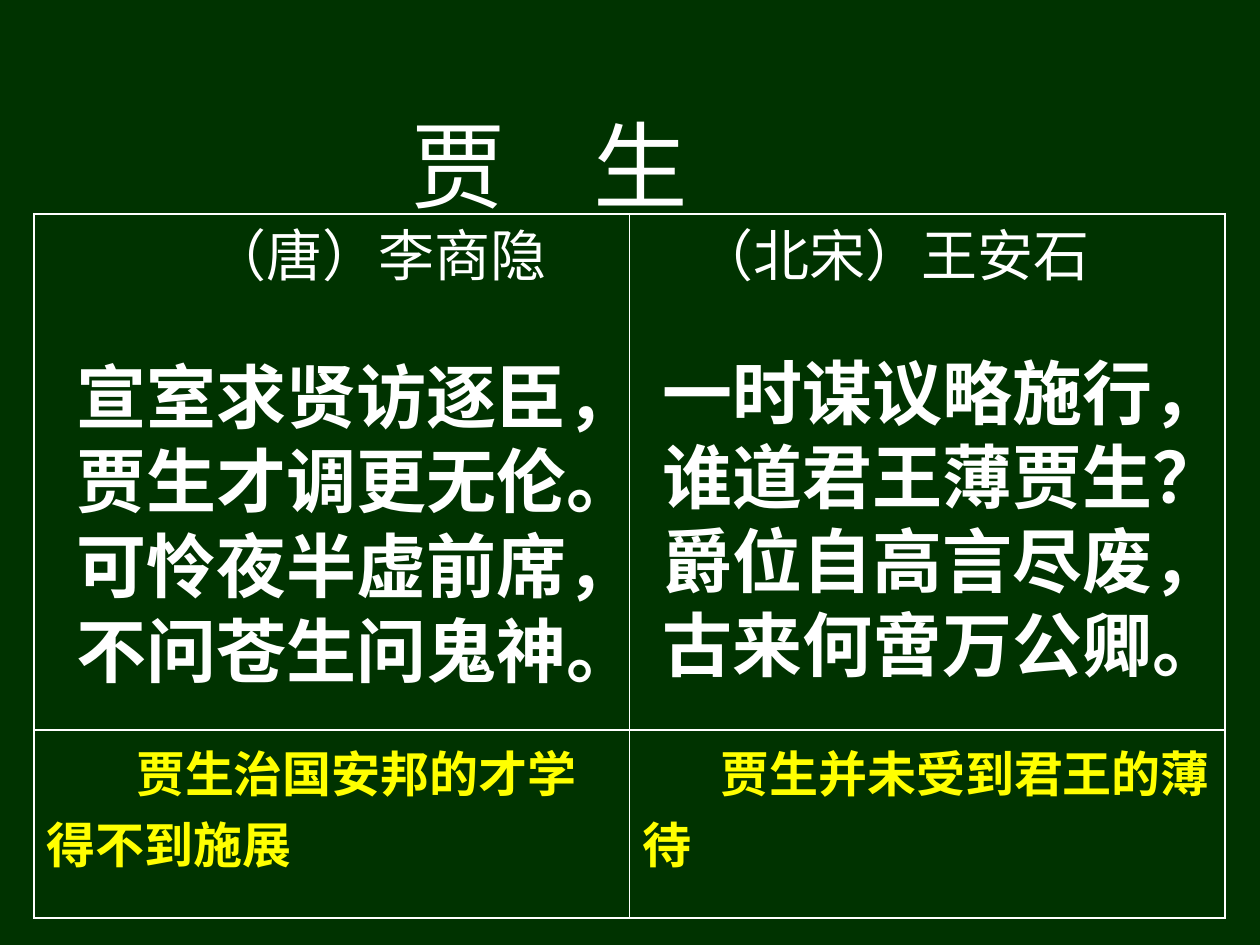
from lxml import etree
from pptx import Presentation
from pptx.dml.color import RGBColor
from pptx.enum import text
from pptx.oxml import ns
from pptx.util import Cm, Pt

WHITE, YELLOW, GREEN = "FFFFFF", "FFFF00", "003300"

HEADING = [
    ("\t贾\t生", 54, (5.94, 9.6)),
    ("\t（唐）李商隐\t（北宋）王安石", 32, (1.88, 11.7)),
]
TANG_POEM = ["宣室求贤访逐臣，", "贾生才调更无伦。", "可怜夜半虚前席，", "不问苍生问鬼神。"]
SONG_POEM = ["一时谋议略施行，", "谁道君王薄贾生？", "爵位自高言尽废，", "古来何啻万公卿。"]
VIEWS = [("贾生治国安邦的才学得不到施展", 1.8), ("贾生并未受到君王的薄待", 1.58)]
COLUMN_WIDTHS = [12, 12]
ROW_HEIGHTS = [10.39, 3.8]


def rgb(value):
    return RGBColor.from_string(value)


def style(paragraph, size, color=WHITE, bold=False):
    font = paragraph.font
    font.name, font.size, font.bold = "Arial", Pt(size), bold
    font.color.rgb = rgb(color)


def set_tabs(paragraph, stops):
    tabs = etree.SubElement(paragraph._p.get_or_add_pPr(), ns.qn("a:tabLst"))
    for stop in stops:
        etree.SubElement(tabs, ns.qn("a:tab"), pos=str(Cm(stop)), algn="l")


def add_lines(slide, box, lines):
    frame = slide.shapes.add_textbox(*map(Cm, box)).text_frame
    frame.word_wrap = True
    paragraphs = []
    for i, line in enumerate(lines):
        paragraph = frame.add_paragraph() if i else frame.paragraphs[0]
        paragraph.text = line
        paragraphs.append(paragraph)
    return frame, paragraphs


def add_heading(slide):
    frame, paragraphs = add_lines(slide, (2.11, 1.93, 21.59, 4.09), [h[0] for h in HEADING])
    frame.vertical_anchor = text.MSO_ANCHOR.MIDDLE
    for paragraph, (_, size, stops) in zip(paragraphs, HEADING):
        set_tabs(paragraph, stops)
        style(paragraph, size)


def add_poems(slide):
    _, tang = add_lines(slide, (1.09, 7.32, 12.19, 8.79), TANG_POEM)
    _, song = add_lines(slide, (13.11, 6.93, 12.29, 7.04), SONG_POEM)
    for i, paragraph in enumerate(tang):
        paragraph.alignment = text.PP_ALIGN.CENTER
        paragraph.line_spacing = 0.8
        if i:
            paragraph.space_before = Pt(10)
    for paragraph in tang + song:
        style(paragraph, 40, bold=True)


def outline(cell):
    properties = cell._tc.get_or_add_tcPr()
    for side in ("lnL", "lnR", "lnT", "lnB"):
        line = etree.SubElement(properties, ns.qn(f"a:{side}"), w=str(Pt(1.08)))
        fill = etree.SubElement(line, ns.qn("a:solidFill"))
        etree.SubElement(fill, ns.qn("a:srgbClr"), val=WHITE)
    cell.fill.background()


def add_comparison(slide):
    table = slide.shapes.add_table(
        len(ROW_HEIGHTS), len(COLUMN_WIDTHS), Cm(0.69), Cm(4.32),
        Cm(sum(COLUMN_WIDTHS)), Cm(sum(ROW_HEIGHTS))).table
    table.first_row = table.horz_banding = False
    for column, width in zip(table.columns, COLUMN_WIDTHS):
        column.width = Cm(width)
    for row, height in zip(table.rows, ROW_HEIGHTS):
        row.height = Cm(height)
    for cell in table.iter_cells():
        outline(cell)
    for i, (view, indent) in enumerate(VIEWS):
        cell = table.cell(1, i)
        cell.text = view
        paragraph = cell.text_frame.paragraphs[0]
        paragraph._p.get_or_add_pPr().set("indent", str(Cm(indent)))
        style(paragraph, 28, YELLOW, True)


def main():
    deck = Presentation()
    deck.slide_width, deck.slide_height = Cm(25.4), Cm(19.05)
    slide = deck.slides.add_slide(deck.slide_layouts[6])
    slide.background.fill.solid()
    slide.background.fill.fore_color.rgb = rgb(GREEN)
    add_heading(slide)
    add_poems(slide)
    add_comparison(slide)
    deck.save("out.pptx")


if __name__ == "__main__":
    main()
